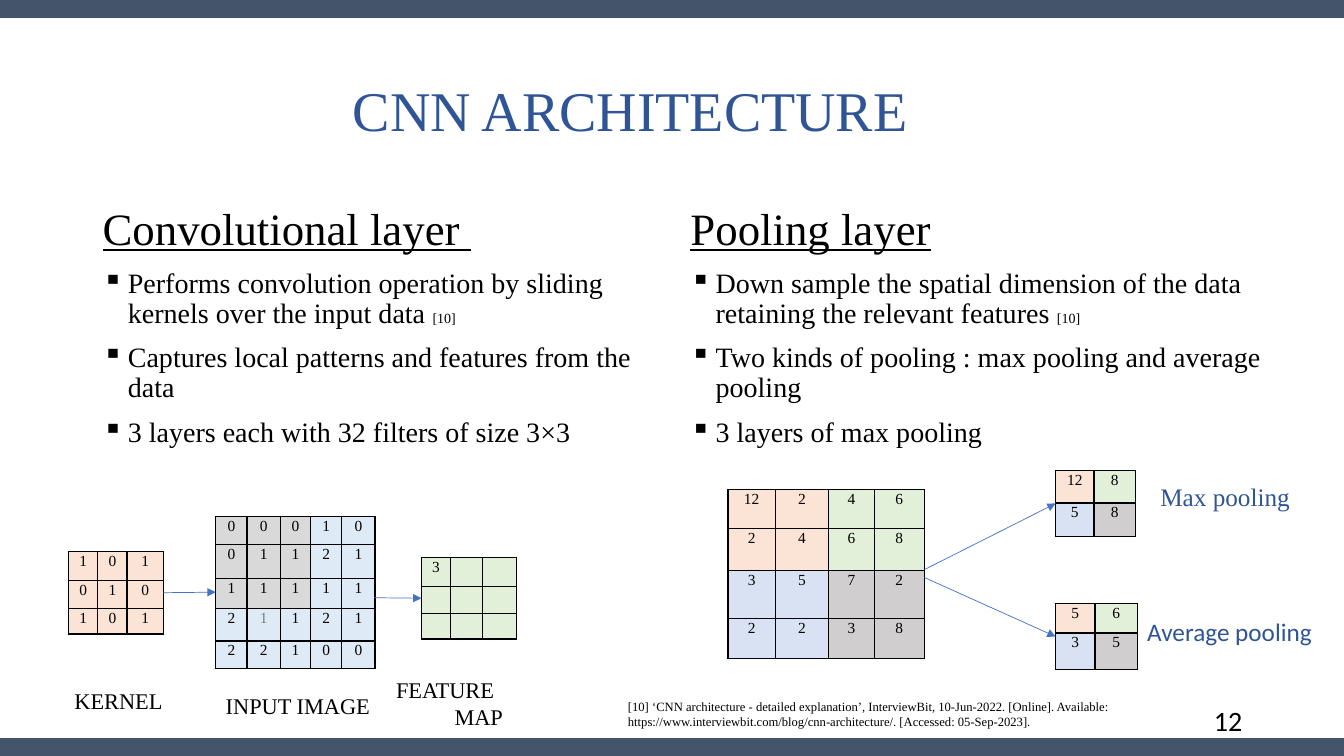
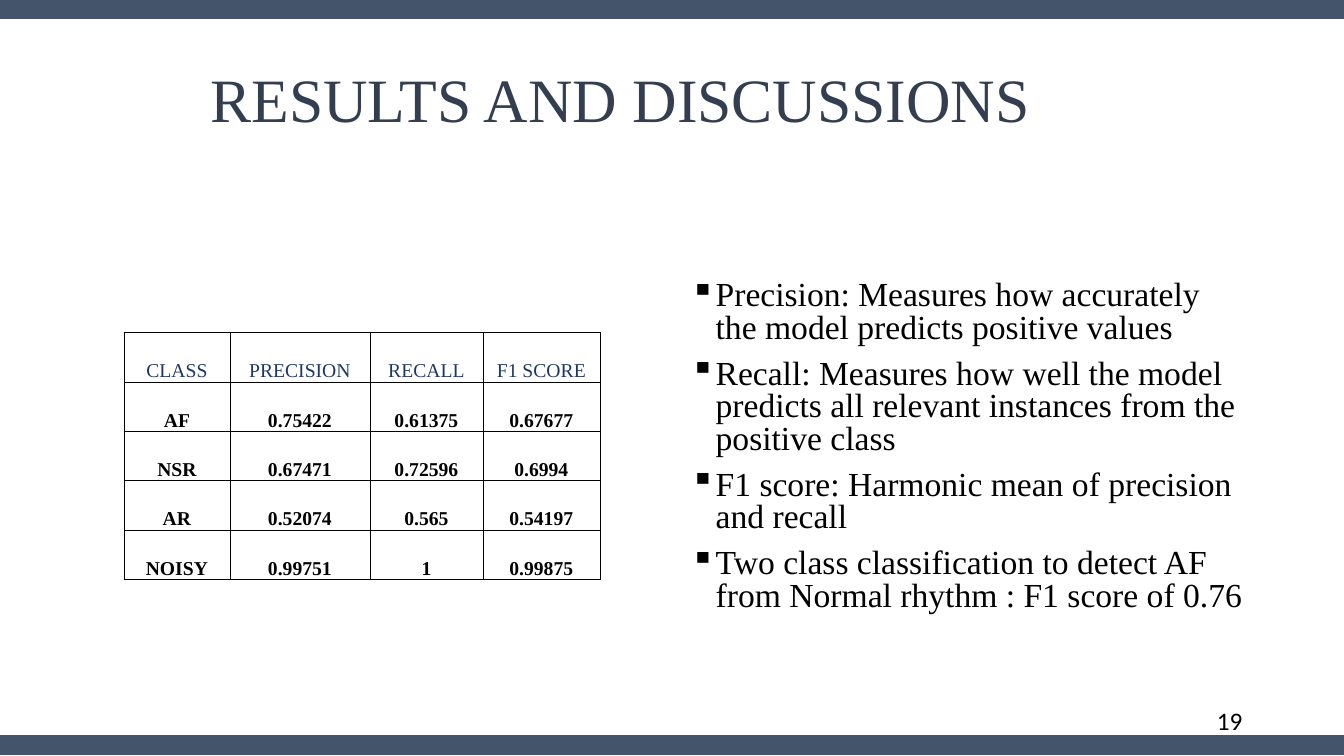
from lxml import etree
from pptx import Presentation
from pptx import util as u
from pptx.dml import color as dml
from pptx.enum import shapes, text
from pptx.oxml import ns

SERIF, SANS = "Times New Roman", "Calibri"
BLACK, BAND, ACCENT, ARROW = "000000", "44546A", "2F5597", "4472C4"
CELL_FILLS = {"D": "D9D9D9", "L": "DEEAF6", "O": "FBE4D5",
              "G": "E2EFD9", "B": "D9E2F3", "S": "D0CECE"}
CENTER, RIGHT = text.PP_ALIGN.CENTER, text.PP_ALIGN.RIGHT
TOP, MIDDLE, BOTTOM = (text.MSO_ANCHOR.TOP, text.MSO_ANCHOR.MIDDLE,
                       text.MSO_ANCHOR.BOTTOM)
GRID_TEXT = dict(size=11, align=CENTER, spacing=1.07, after=8)


def rgb(value):
    """Turn a hex string into a colour."""
    return dml.RGBColor.from_string(value)


def add_element(parent, tag, **attributes):
    """Append a drawing element with the given attributes."""
    return etree.SubElement(parent, ns.qn(tag), attributes)


def write(paragraph, words, size=18, color=BLACK, font=SERIF, bold=False,
          underline=False, align=None, spacing=None, before=None, after=None,
          hang=None, bullet=None):
    """Add formatted words to a paragraph."""
    if hang:
        properties = paragraph._p.get_or_add_pPr()
        properties.set("marL", str(u.Inches(hang)))
        properties.set("indent", str(-u.Inches(hang)))
        if bullet:
            add_element(properties, "a:buChar", char=bullet)
    if align is not None:
        paragraph.alignment = align
    if spacing is not None:
        paragraph.line_spacing = spacing
    if before is not None:
        paragraph.space_before = u.Pt(before)
    if after is not None:
        paragraph.space_after = u.Pt(after)
    if not words:
        add_element(paragraph._p, "a:endParaRPr", sz=str(size * 100))
        return
    run = paragraph.add_run()
    run.text = words
    run.font.size = u.Pt(size)
    run.font.name = font
    run.font.bold = bold
    run.font.underline = underline
    run.font.color.rgb = rgb(color)


class Deck:
    """Hold the shared style and the current slide."""

    def __init__(self):
        """Start a widescreen presentation."""
        self.presentation = Presentation()
        self.presentation.slide_width = u.Inches(13.33)
        self.presentation.slide_height = u.Inches(7.5)
        self.slide = None

    def new_slide(self, number, number_size, band_tops):
        """Add a blank slide with its bands and number."""
        layout = self.presentation.slide_layouts[6]
        self.slide = self.presentation.slides.add_slide(layout)
        for top in band_tops:
            self.line((0, top), (13.33, top), BAND, 14)
        self.label(9.42, 6.95, 3, 0.4, number, anchor=MIDDLE,
                   size=number_size, font=SANS, align=RIGHT)

    def frame(self, left, top, width, height, anchor=TOP):
        """Add an empty wrapping text box and return its text frame."""
        box = self.slide.shapes.add_textbox(
            *map(u.Inches, (left, top, width, height)))
        box.text_frame.word_wrap = True
        box.text_frame.vertical_anchor = anchor
        return box.text_frame

    def label(self, left, top, width, height, words, anchor=TOP, **style):
        """Add a text box with one paragraph."""
        frame = self.frame(left, top, width, height, anchor)
        write(frame.paragraphs[0], words, **style)

    def title(self, left, top, words, **style):
        """Add a slide title."""
        self.label(left, top, 12.42 - left, 1.45, words, anchor=MIDDLE,
                   spacing=0.9, **style)

    def bullets(self, left, top, width, height, items, size, spacing,
                heading=None):
        """Add a bullet list, with an optional heading and references."""
        frame = self.frame(left, top, width, height)
        paragraph = frame.paragraphs[0]
        if heading:
            write(paragraph, heading, size=32, underline=True, spacing=spacing)
        for index, (words, reference) in enumerate(items):
            first = index == 0 and not heading
            if not first:
                paragraph = frame.add_paragraph()
            write(paragraph, words, size=size, spacing=spacing,
                  before=0 if first else 10, hang=0.25, bullet="▪")
            if reference:
                write(paragraph, reference, size=10)

    def line(self, start, end, color, width, arrow=False, target=None):
        """Draw a line, joined to the left side of a target if given."""
        connector = self.slide.shapes.add_connector(
            shapes.MSO_CONNECTOR.STRAIGHT, *map(u.Inches, (*start, *end)))
        if target is not None:
            connector.end_connect(target, 1)
        connector.line.color.rgb = rgb(color)
        connector.line.width = u.Pt(width)
        if arrow:
            add_element(connector.line._get_or_add_ln(), "a:tailEnd",
                        type="triangle")
        add_element(connector._element.spPr, "a:effectLst")

    def arrow(self, start, target):
        """Draw a thin arrow to the left side of a table."""
        end = (target.left.inches, (target.top + target.height // 2) / u.Inches(1))
        self.line(start, end, ARROW, 0.5, arrow=True, target=target)

    def table(self, left, top, widths, heights, rows, fills=None, border=1,
              insets=(0.07, 0, 0.07, 0), anchor=TOP, header=None, **style):
        """Add a bordered table, with fills given as one letter per cell."""
        shape = self.slide.shapes.add_table(
            len(rows), len(widths),
            *map(u.Inches, (left, top, sum(widths), sum(heights))))
        table = shape.table
        table.first_row = table.horz_banding = False
        for column, width in zip(table.columns, widths):
            column.width = u.Inches(width)
        for row, height in zip(table.rows, heights):
            row.height = u.Inches(height)
        for r, values in enumerate(rows):
            cell_style = {**style, **header} if header and r == 0 else style
            for c, value in enumerate(values):
                cell = table.cell(r, c)
                (cell.margin_left, cell.margin_top, cell.margin_right,
                 cell.margin_bottom) = map(u.Inches, insets)
                cell.vertical_anchor = anchor
                self.borders(cell, border)
                if fills:
                    cell.fill.solid()
                    cell.fill.fore_color.rgb = rgb(CELL_FILLS[fills[r][c]])
                else:
                    cell.fill.background()
                write(cell.text_frame.paragraphs[0], value, **cell_style)
        return shape

    def borders(self, cell, width):
        """Draw black lines on all four sides of a cell."""
        properties = cell._tc.get_or_add_tcPr()
        for side in "LRTB":
            edge = add_element(properties, "a:ln" + side, w=str(u.Pt(width)))
            fill = add_element(edge, "a:solidFill")
            add_element(fill, "a:srgbClr", val=BLACK)


def architecture(deck):
    """Build the slide on convolution and pooling."""
    deck.new_slide("12", 20, (0.08, 7.42))
    deck.title(3.4, 0.4, "CNN ARCHITECTURE", size=40, color=ACCENT)
    deck.bullets(0.92, 2, 5.67, 2.6, [
        ("Performs convolution operation by sliding kernels over the input data ",
         "[10]"),
        ("Captures local patterns and features from the data", None),
        ("3 layers each with 32 filters of size 3×3", None),
    ], 20, 0.9, heading="Convolutional layer ")
    deck.bullets(6.75, 2, 6.17, 2.6, [
        ("Down sample the spatial dimension of the data retaining the "
         "relevant features ", "[10]"),
        ("Two kinds of pooling : max pooling and average pooling", None),
        ("3 layers of max pooling", None),
    ], 20, 0.9, heading="Pooling layer")

    image = deck.table(
        2.14, 5.12, (0.31, 0.33, 0.3, 0.31, 0.33), (0.28, 0.34, 0.3, 0.32, 0.27),
        ("00010", "01121", "11111", "21121", "22100"),
        ["DDDLL"] * 3 + ["LLLLL"] * 2, **GRID_TEXT)
    muted = image.table.cell(3, 1).text_frame.paragraphs[0].runs[0]
    muted.font.color.rgb = rgb("7C7C7C")
    deck.table(0.68, 5.47, (0.29, 0.29, 0.36), (0.29, 0.28, 0.25),
               ("101", "010", "101"), ["OOO"] * 3, **GRID_TEXT)
    feature_map = deck.table(
        4.18, 5.53, (0.29, 0.32, 0.33), (0.29, 0.27, 0.25),
        [("3", "", "")] + [("", "", "")] * 2, ["GGG"] * 3, **GRID_TEXT)
    deck.arrow((1.62, 5.88), image)
    deck.arrow((3.71, 5.93), feature_map)
    deck.label(0.64, 6.77, 1.2, 0.37, "KERNEL", size=16)
    deck.label(2.14, 6.82, 1.78, 0.37, "INPUT IMAGE", size=16)
    deck.label(3.83, 6.66, 1.5, 0.64, "FEATURE MAP", size=16, hang=0.58)

    deck.table(7.22, 4.86, (0.47, 0.53, 0.45, 0.5), (0.38, 0.42, 0.48, 0.39),
               (("12", "2", "4", "6"), "2468", "3572", "2238"),
               ["OOGG"] * 2 + ["BBSS"] * 2, **GRID_TEXT)
    max_pooled = deck.table(10.47, 4.67, (0.38, 0.41), (0.32, 0.33),
                            (("12", "8"), "58"), ("OG", "BS"), **GRID_TEXT)
    mean_pooled = deck.table(10.47, 5.99, (0.39, 0.42), (0.29, 0.36),
                             ("56", "35"), ("OG", "BS"), **GRID_TEXT)
    deck.arrow((9.17, 5.65), max_pooled)
    deck.arrow((9.17, 5.73), mean_pooled)
    deck.label(11.41, 4.73, 1.92, 0.4, "Max pooling", color=ACCENT)
    deck.label(11.28, 6.07, 2.05, 0.4, "Average pooling", color=ACCENT, font=SANS)
    deck.label(6.13, 6.88, 5.76, 0.4,
               "[10] ‘CNN architecture - detailed explanation’, InterviewBit, "
               "10-Jun-2022. [Online]. Available: "
               "https://www.interviewbit.com/blog/cnn-architecture/. "
               "[Accessed: 05-Sep-2023].", size=9)


def results(deck):
    """Build the slide on classification scores."""
    deck.new_slide("19", 18, (0.09, 7.39))
    deck.title(1.99, 0.29, "RESULTS AND DISCUSSIONS", size=44, color="333F50")
    items = (
        "Precision: Measures how accurately the model predicts positive values",
        "Recall: Measures how well the model predicts all relevant instances "
        "from the positive class",
        "F1 score: Harmonic mean of precision and recall",
        "Two class classification to detect AF from Normal rhythm : "
        "F1 score of 0.76",
    )
    deck.bullets(6.75, 2.74, 5.67, 4.01, [(item, None) for item in items], 24, 0.8)
    deck.table(1.23, 3.3, (1.05, 1.39, 1.12, 1.16), [0.49] * 5, (
        ("CLASS", "PRECISION", "RECALL", "F1 SCORE"),
        ("AF", "0.75422", "0.61375", "0.67677"),
        ("NSR", "0.67471", "0.72596", "0.6994"),
        ("AR", "0.52074", "0.565", "0.54197"),
        ("NOISY", "0.99751", "1", "0.99875"),
    ), border=0.5, insets=(0.01, 0.01, 0.01, 0), anchor=BOTTOM,
        header=dict(bold=False, color="203764"), size=14, bold=True, align=CENTER)


def main():
    """Build and save the presentation."""
    deck = Deck()
    architecture(deck)
    results(deck)
    deck.presentation.save("out.pptx")


if __name__ == "__main__":
    main()
